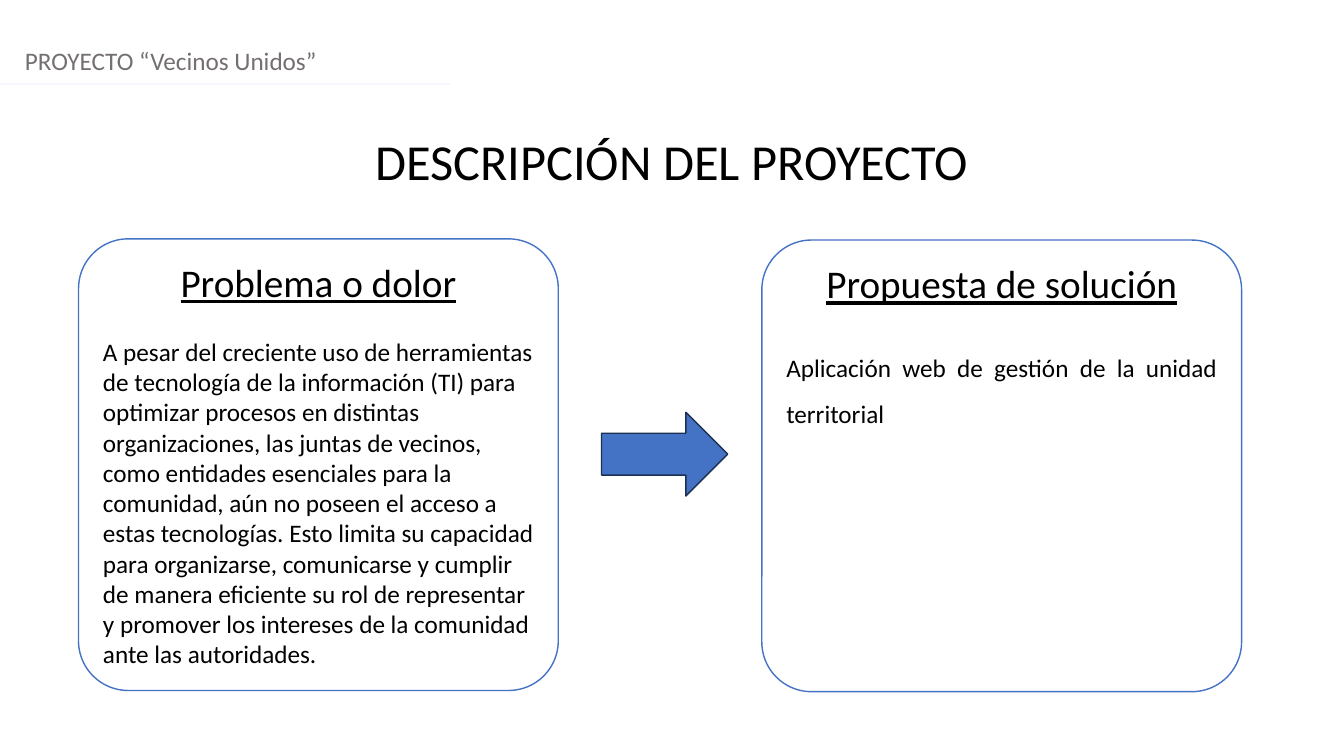
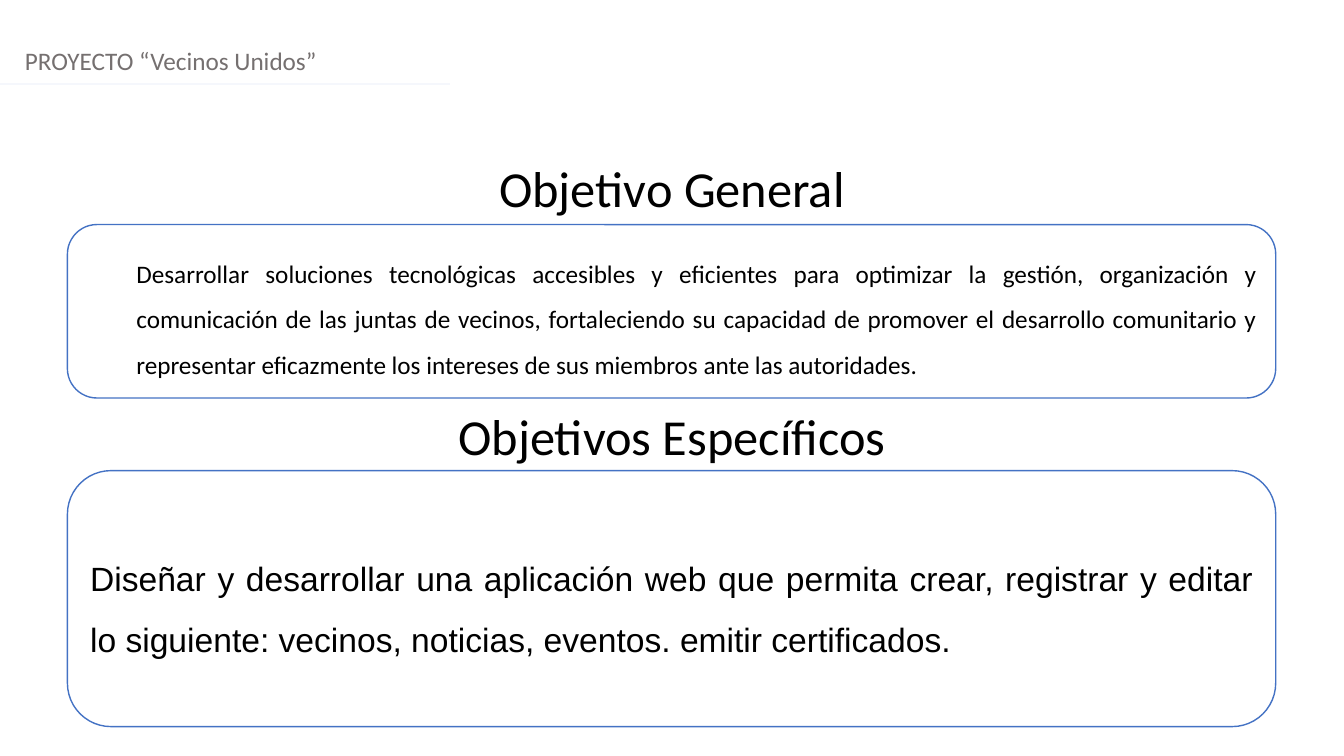
from pptx import Presentation
from pptx.dml.color import RGBColor
from pptx.enum.shapes import MSO_CONNECTOR, MSO_SHAPE
from pptx.enum.text import MSO_ANCHOR, PP_ALIGN
from pptx.oxml.ns import qn
from pptx.util import Cm, Pt
from lxml.etree import SubElement

BLACK = RGBColor(0x00, 0x00, 0x00)
WHITE = RGBColor(0xFF, 0xFF, 0xFF)
GRAY = RGBColor(0x75, 0x70, 0x70)
BLUE = RGBColor(0x44, 0x72, 0xC4)
NAVY = RGBColor(0x1C, 0x30, 0x52)
PALE_BLUE = RGBColor(0xF5, 0xF7, 0xFC)
SLIDE_WIDTH, SLIDE_HEIGHT = Cm(33.87), Cm(19.05)


class ProjectDeck:
    """Builds the project slides with one shared style."""

    def __init__(self):
        self.presentation = Presentation()
        self.presentation.slide_width = SLIDE_WIDTH
        self.presentation.slide_height = SLIDE_HEIGHT
        self.slide = None

    def add_slide(self):
        self.slide = self.presentation.slides.add_slide(self.presentation.slide_layouts[6])
        self.add_text("PROYECTO “Vecinos Unidos”", Cm(0.38), Cm(1.02), Cm(20), Cm(1.02), 18, GRAY)
        self.add_rule(Cm(11.35), Cm(2.11))

    def fill_paragraph(self, paragraph, text, size, color=BLACK, font="Calibri",
                       align=PP_ALIGN.LEFT, spacing=None, underline=False):
        paragraph.text = text
        paragraph.alignment = align
        paragraph.line_spacing = spacing
        for run in paragraph.runs:
            run.font.size = Pt(size)
            run.font.name = font
            run.font.color.rgb = color
            run.font.underline = underline

    def add_text(self, text, left, top, width, height, size, color=BLACK, align=PP_ALIGN.LEFT):
        text_frame = self.slide.shapes.add_textbox(left, top, width, height).text_frame
        text_frame.word_wrap = True
        self.fill_paragraph(text_frame.paragraphs[0], text, size, color, align=align)

    def add_title(self, text, top):
        self.add_text(text, 0, top, SLIDE_WIDTH, Cm(1.79), 36, align=PP_ALIGN.CENTER)

    def add_rule(self, length, top):
        rule = self.slide.shapes.add_connector(MSO_CONNECTOR.STRAIGHT, 0, top, length, top)
        rule.line.color.rgb = PALE_BLUE
        rule.line.width = Pt(1.25)
        SubElement(rule.element.spPr, qn("a:effectLst"))

    def add_figure(self, kind, left, top, width, height, fill, line):
        shape = self.slide.shapes.add_shape(kind, left, top, width, height)
        shape.shadow.inherit = False
        shape.fill.solid()
        shape.fill.fore_color.rgb = fill
        shape.line.color.rgb = line
        shape.line.width = Pt(1)
        return shape

    def add_arrow(self, left, top, width, height):
        self.add_figure(MSO_SHAPE.RIGHT_ARROW, left, top, width, height, BLUE, NAVY)

    def add_panel(self, left, top, width, height, rounding, anchor):
        panel = self.add_figure(MSO_SHAPE.ROUNDED_RECTANGLE, left, top, width, height, WHITE, BLUE)
        panel.adjustments[0] = rounding
        panel.text_frame.word_wrap = True
        panel.text_frame.vertical_anchor = anchor
        return panel.text_frame

    def add_card(self, heading, body, left, top, **body_style):
        text_frame = self.add_panel(left, top, Cm(12.09), Cm(11.38), 0.11, MSO_ANCHOR.TOP)
        heading_paragraph = text_frame.paragraphs[0]
        self.fill_paragraph(heading_paragraph, heading, 28, align=PP_ALIGN.CENTER, underline=True)
        heading_paragraph.space_after = Pt(22)
        self.fill_paragraph(text_frame.add_paragraph(), body, 18, **body_style)

    def add_objective(self, title, title_top, text, top, height, size,
                      font="Calibri", indent=0, space_before=0):
        text_frame = self.add_panel(Cm(1.7), top, Cm(30.45), height, 0.17, MSO_ANCHOR.MIDDLE)
        paragraph = text_frame.paragraphs[0]
        self.fill_paragraph(paragraph, text, size, font=font, align=PP_ALIGN.JUSTIFY, spacing=1.5)
        paragraph.space_before = Pt(space_before)
        paragraph._p.get_or_add_pPr().set("marL", str(int(indent)))
        self.add_title(title, title_top)


def main():
    deck = ProjectDeck()

    deck.add_slide()
    deck.add_title("DESCRIPCIÓN DEL PROYECTO", Cm(3.15))
    deck.add_card(
        "Problema o dolor",
        "A pesar del creciente uso de herramientas de tecnología de la información (TI) para "
        "optimizar procesos en distintas organizaciones, las juntas de vecinos, como entidades "
        "esenciales para la comunidad, aún no poseen el acceso a estas tecnologías. Esto limita "
        "su capacidad para organizarse, comunicarse y cumplir de manera eficiente su rol de "
        "representar y promover los intereses de la comunidad ante las autoridades.",
        Cm(1.98), Cm(6.02))
    deck.add_arrow(Cm(15.16), Cm(10.39), Cm(3.18), Cm(2.11))
    deck.add_card(
        "Propuesta de solución",
        "Aplicación web de gestión de la unidad territorial",
        Cm(19.2), Cm(6.05), align=PP_ALIGN.JUSTIFY, spacing=1.5)

    deck.add_slide()
    deck.add_objective(
        "Objetivo General", Cm(3.84),
        "Desarrollar soluciones tecnológicas accesibles y eficientes para optimizar la gestión, "
        "organización y comunicación de las juntas de vecinos, fortaleciendo su capacidad de "
        "promover el desarrollo comunitario y representar eficazmente los intereses de sus "
        "miembros ante las autoridades.",
        Cm(5.66), Cm(4.37), 18, indent=Cm(1.27))
    deck.add_objective(
        "Objetivos Específicos", Cm(10.08),
        "Diseñar y desarrollar una aplicación web que permita crear, registrar y editar lo "
        "siguiente: vecinos, noticias, eventos. emitir certificados.",
        Cm(11.86), Cm(6.45), 24, font="Arial", space_before=14)

    deck.presentation.save("out.pptx")


if __name__ == "__main__":
    main()
